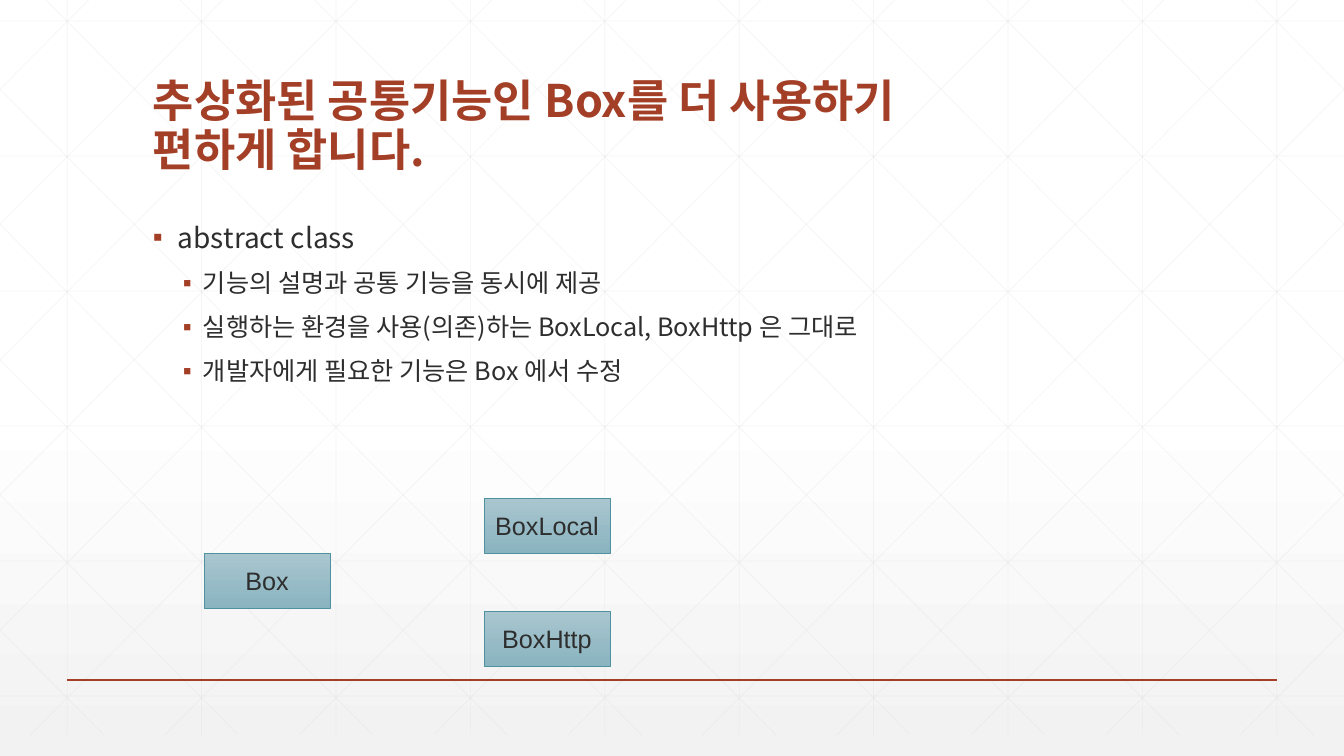
"""Build the slide on the abstract Box class and its two implementations."""
from dataclasses import dataclass

from lxml import etree
from pptx import Presentation
from pptx import util as u
from pptx.dml.color import RGBColor
from pptx.dml.fill import FillFormat
from pptx.enum import shapes, text
from pptx.oxml.ns import qn

EMU_PER_PX = 914400 / 100.8
WIDTH, HEIGHT = 1344, 756
COLUMNS, ROWS = 10, 6
GRID_TOP, GRID_BOTTOM, ROW_STEP = 21, 735, 135
DIAGONAL_START, DIAGONAL_SLOPE = 25, 756 / 751

RUST = RGBColor(0xA4, 0x3F, 0x27)
INK = RGBColor(0x2D, 0x2E, 0x2D)
GRID_GREY = RGBColor(0xD9, 0xD9, 0xD9)
WHITE = RGBColor(0xFF, 0xFF, 0xFF)
PALE_GREY = RGBColor(0xF2, 0xF2, 0xF2)
TEAL_LIGHT = RGBColor(0xA9, 0xC6, 0xCF)
TEAL_DARK = RGBColor(0x8A, 0xB4, 0xC0)
TEAL_EDGE = RGBColor(0x4F, 0x91, 0xA1)

KOREAN_FONT = "Noto Sans CJK KR"
BOX_FONT = "Arial"


@dataclass(frozen=True)
class ClassBox:
    """A class in the diagram, placed in px."""

    name: str
    left: int
    top: int
    width: int = 126
    height: int = 55


@dataclass(frozen=True)
class Bullet:
    """A bulleted line; indents are in px and sizes in points."""

    words: str
    level: int = 1
    size: int = 18
    margin: int = 50
    hanging: int = 20
    space_before: int = 12


TITLE_LINES = ("추상화된 공통기능인 Box를 더 사용하기", "편하게 합니다.")
BULLETS = (
    Bullet("abstract class", level=0, size=20, margin=25, hanging=25, space_before=0),
    Bullet("기능의 설명과 공통 기능을 동시에 제공"),
    Bullet("실행하는 환경을 사용(의존)하는 BoxLocal, BoxHttp 은 그대로"),
    Bullet("개발자에게 필요한 기능은 Box 에서 수정"),
)
CLASS_BOXES = (
    ClassBox("Box", 204, 553),
    ClassBox("BoxLocal", 484, 498),
    ClassBox("BoxHttp", 484, 611),
)


def px(length: float) -> u.Emu:
    """Turn px into EMU."""
    return u.Emu(round(length * EMU_PER_PX))


def fill_downwards(fill: FillFormat, upper: RGBColor, lower: RGBColor, start: float = 0) -> None:
    """Apply a vertical gradient that begins at the given fraction."""
    fill.gradient()
    fill.gradient_angle = 270
    first, last = fill.gradient_stops
    first.color.rgb, last.color.rgb = upper, lower
    first.position, last.position = start, 1


def add_run(paragraph, words: str, size: int, color: RGBColor, font: str, bold: bool = False) -> None:
    """Add one formatted run, using the font for Latin and Korean letters."""
    run = paragraph.add_run()
    run.text = words
    run.font.size = u.Pt(size)
    run.font.bold = bold
    run.font.color.rgb = color
    run.font.name = font
    etree.SubElement(run._r.get_or_add_rPr(), qn("a:ea"), typeface=font)


def add_line(slide, start: tuple, end: tuple, color: RGBColor, weight: float, opacity: int = 100) -> None:
    """Draw a straight line without a shadow."""
    line = slide.shapes.add_connector(
        shapes.MSO_CONNECTOR.STRAIGHT, *map(px, start), *map(px, end))
    line.line.color.rgb = color
    line.line.width = u.Pt(weight)
    properties = line._element.spPr
    if opacity < 100:
        paint = properties.find(".//" + qn("a:srgbClr"))
        etree.SubElement(paint, qn("a:alpha"), val=str(opacity * 1000))
    etree.SubElement(properties, qn("a:effectLst"))


def add_grid(slide) -> None:
    """Draw the faint columns, rows and mirrored diagonals."""
    step = WIDTH / COLUMNS
    lines = []
    for column in range(COLUMNS):
        x = step * (column + 0.5)
        lines.append(((x, 0), (x, GRID_BOTTOM)))
    for row in range(ROWS):
        y = GRID_TOP + ROW_STEP * row
        lines.append(((0, y), (WIDTH, y)))
    for index in range(-5, COLUMNS):
        origin = DIAGONAL_START + step * index
        top = max(0, -origin * DIAGONAL_SLOPE - GRID_TOP)
        bottom = min(GRID_BOTTOM, (WIDTH - origin) * DIAGONAL_SLOPE - GRID_TOP)
        left, right = (origin + (y + GRID_TOP) / DIAGONAL_SLOPE for y in (top, bottom))
        lines.append(((left, top), (right, bottom)))
        lines.append(((WIDTH - left, top), (WIDTH - right, bottom)))
    for start, end in lines:
        add_line(slide, start, end, GRID_GREY, 0.5, opacity=25)


def add_text_frame(slide, top: int, height: int, anchor):
    """Add a wrapping text box in the content column and return its frame."""
    frame = slide.shapes.add_textbox(px(143), px(top), px(1058), px(height)).text_frame
    frame.word_wrap = True
    frame.vertical_anchor = anchor
    return frame


def add_title(slide) -> None:
    """Add the two-line title."""
    paragraph = add_text_frame(slide, 55, 126, text.MSO_ANCHOR.BOTTOM).paragraphs[0]
    paragraph.line_spacing = 0.9
    for number, words in enumerate(TITLE_LINES):
        if number:
            paragraph.add_line_break()
        add_run(paragraph, words, 32, RUST, KOREAN_FONT, bold=True)


def add_bullets(slide) -> None:
    """Add the bulleted explanation."""
    frame = add_text_frame(slide, 219, 420, text.MSO_ANCHOR.TOP)
    for number, bullet in enumerate(BULLETS):
        paragraph = frame.add_paragraph() if number else frame.paragraphs[0]
        properties = paragraph._p.get_or_add_pPr()
        properties.set("marL", str(px(bullet.margin)))
        properties.set("indent", str(px(-bullet.hanging)))
        color = etree.SubElement(properties, qn("a:buClr"))
        etree.SubElement(color, qn("a:srgbClr"), val=str(RUST))
        etree.SubElement(properties, qn("a:buFont"), typeface=BOX_FONT)
        etree.SubElement(properties, qn("a:buChar"), char="▪")
        paragraph.level = bullet.level
        paragraph.line_spacing = 0.9
        paragraph.space_before = u.Pt(bullet.space_before)
        add_run(paragraph, bullet.words, bullet.size, INK, KOREAN_FONT)


def add_class_box(slide, box: ClassBox) -> None:
    """Draw one class of the diagram."""
    shape = slide.shapes.add_shape(
        shapes.MSO_SHAPE.RECTANGLE, px(box.left), px(box.top), px(box.width), px(box.height))
    shape.shadow.inherit = False
    fill_downwards(shape.fill, TEAL_LIGHT, TEAL_DARK)
    shape.line.color.rgb = TEAL_EDGE
    shape.line.width = u.Pt(0.5)
    frame = shape.text_frame
    frame.word_wrap = False
    frame.vertical_anchor = text.MSO_ANCHOR.MIDDLE
    paragraph = frame.paragraphs[0]
    paragraph.alignment = text.PP_ALIGN.CENTER
    add_run(paragraph, box.name, 18, INK, BOX_FONT)


def main() -> None:
    """Build and save the presentation."""
    presentation = Presentation()
    presentation.slide_width, presentation.slide_height = px(WIDTH), px(HEIGHT)
    slide = presentation.slides.add_slide(presentation.slide_layouts[6])
    fill_downwards(slide.background.fill, WHITE, PALE_GREY, start=0.53)
    add_grid(slide)
    add_line(slide, (67, 680), (1277, 680), RUST, 1)
    add_title(slide)
    add_bullets(slide)
    for box in CLASS_BOXES:
        add_class_box(slide, box)
    presentation.save("out.pptx")


if __name__ == "__main__":
    main()
